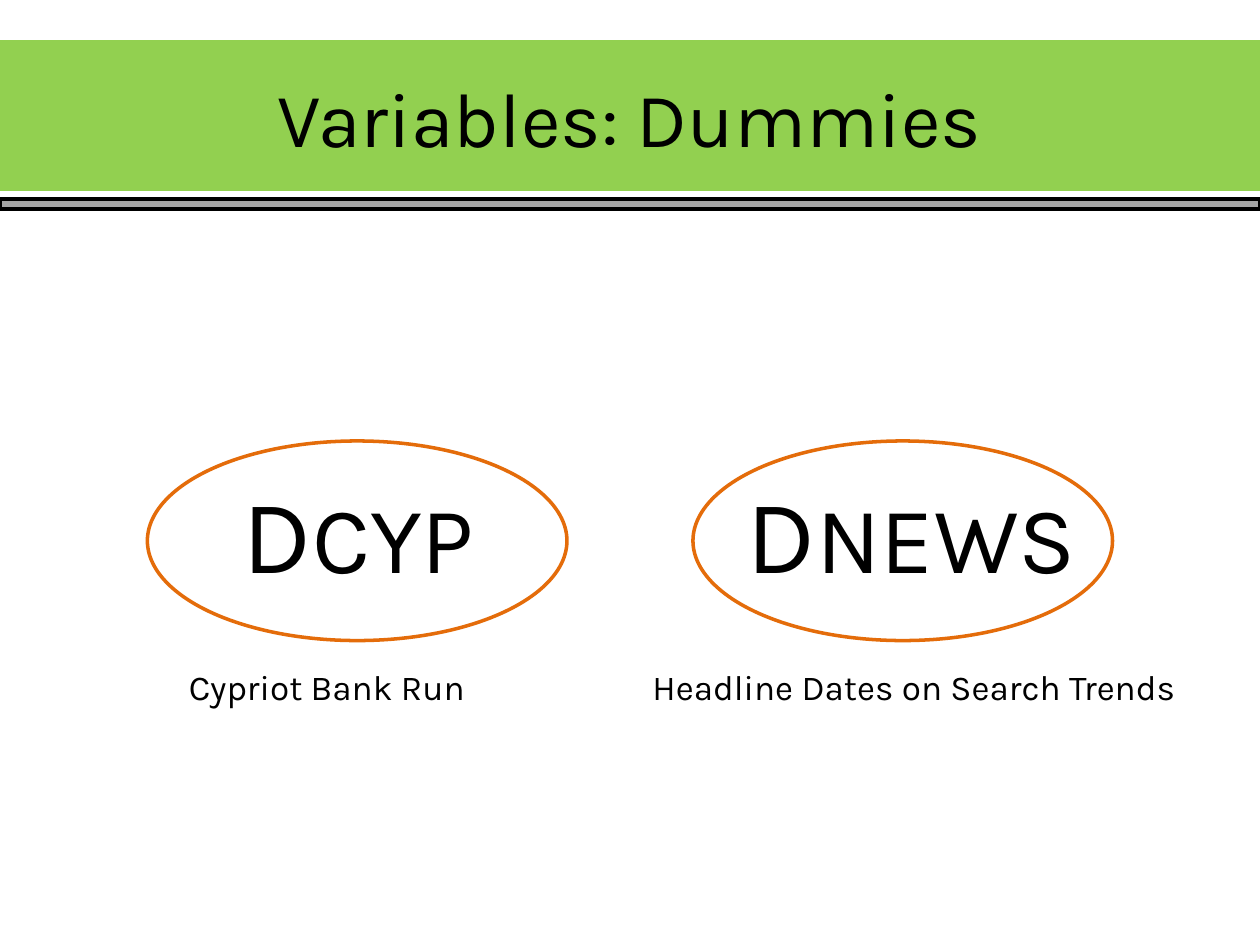
from lxml import etree
from pptx import Presentation
from pptx import util as u
from pptx.dml.color import RGBColor
from pptx.enum import shapes, text
from pptx.oxml.ns import qn

WIDTH, HEIGHT = 10, 7.5
FONT = "Karla"
COLORS = {"band": "92D050", "rule": "A6A6A6", "ink": "000000",
          "paper": "FFFFFF", "ring": "E46C0A"}
RECTANGLE, OVAL = shapes.MSO_SHAPE.RECTANGLE, shapes.MSO_SHAPE.OVAL


def color(name):
    return RGBColor.from_string(COLORS[name])


def inches(box):
    return [u.Inches(length) for length in box]


def add_outlined(slide, kind, box, fill, line):
    shape = slide.shapes.add_shape(kind, *inches(box))
    shape.shadow.inherit = False
    shape.fill.solid()
    shape.fill.fore_color.rgb = color(fill)
    shape.line.color.rgb = color(line)
    shape.line.width = u.Pt(2)


def format_run(run, size):
    run.font.name = FONT
    run.font.size = u.Pt(size)
    run.font.color.rgb = color("ink")


def add_text_box(slide, box):
    frame = slide.shapes.add_textbox(*inches(box)).text_frame
    frame.word_wrap = True
    return frame


def add_header(slide, box):
    """Draw the band with its title and the thin rule at the bottom of the box."""
    left, top, width, height = box
    band, rule = height * 0.88, height * 0.06
    add_outlined(slide, RECTANGLE, (left, top, width, band), "band", "band")
    add_outlined(slide, RECTANGLE, (left, top + height - rule, width, rule),
                 "rule", "ink")
    title = slide.shapes.title
    title.element.getparent().append(title.element)  # in front of the band
    margin = width * 0.05
    title.left, title.top, title.width, title.height = inches(
        (left + margin, top - 0.03, width - 2 * margin, band + 0.08))
    frame = title.text_frame
    frame.text = "Variables: Dummies"
    frame.vertical_anchor = text.MSO_ANCHOR.MIDDLE
    paragraph = frame.paragraphs[0]
    paragraph.alignment = text.PP_ALIGN.CENTER
    format_run(paragraph.runs[0], 44)


def add_names(slide, box, tab):
    """Write both variable names on one line, the second at the tab stop."""
    paragraph = add_text_box(slide, box).paragraphs[0]
    for words, size in (("D", 60), ("CYP\t", 54), ("D", 60), ("NEWS", 54)):
        run = paragraph.add_run()
        run.text = words
        format_run(run, size)
    properties = paragraph._p.get_or_add_pPr()
    stops = etree.SubElement(properties, qn("a:tabLst"))
    etree.SubElement(stops, qn("a:tab"), pos=str(u.Inches(tab)), algn="l")


def add_caption(slide, box, words):
    frame = add_text_box(slide, box)
    frame.text = words
    format_run(frame.paragraphs[0].runs[0], 20)


def add_variables(slide, box):
    """Draw two ovals at the ends of the box, with names inside and captions below."""
    left, top, width, height = box
    oval_width, oval_height = 3.33, height * 0.73
    for oval_left in (left, left + width - oval_width):
        add_outlined(slide, OVAL, (oval_left, top, oval_width, oval_height),
                     "paper", "ring")
    add_names(slide, (left + 0.66, top + 0.17, 8.58, 1.11), tab=4)
    caption_top = top + height - 0.44
    for offset, caption_width, words in (
            (3.91, 4.68, "Headline Dates on Search Trends"),
            (0.23, 2.86, "Cypriot Bank Run")):
        add_caption(slide, (left + offset, caption_top, caption_width, 0.44), words)


def main():
    presentation = Presentation()
    presentation.slide_width, presentation.slide_height = inches((WIDTH, HEIGHT))
    slide = presentation.slides.add_slide(presentation.slide_layouts[5])
    slide.background.fill.solid()
    slide.background.fill.fore_color.rgb = color("paper")
    add_header(slide, (0, 0.33, WIDTH, 1.33))
    add_variables(slide, (1.17, 3.5, WIDTH - 2 * 1.17, 2.17))
    presentation.save("out.pptx")


if __name__ == "__main__":
    main()
